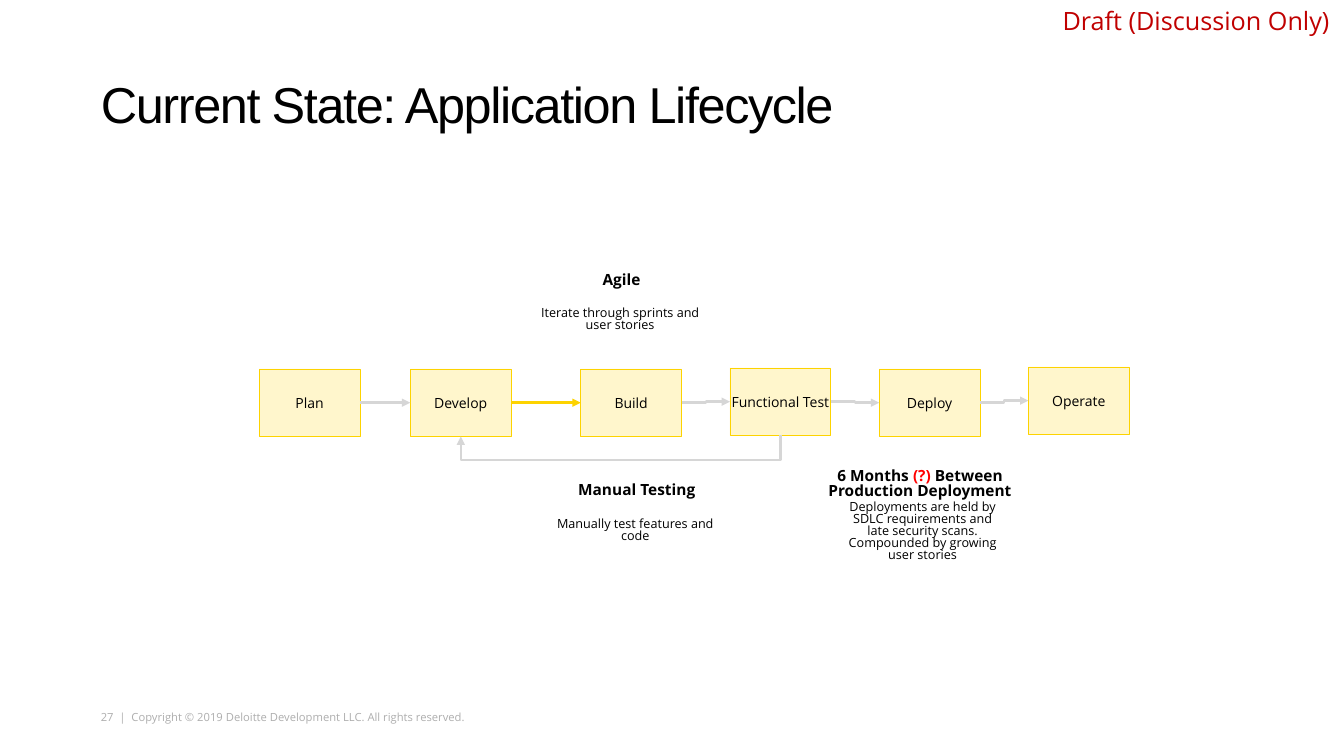
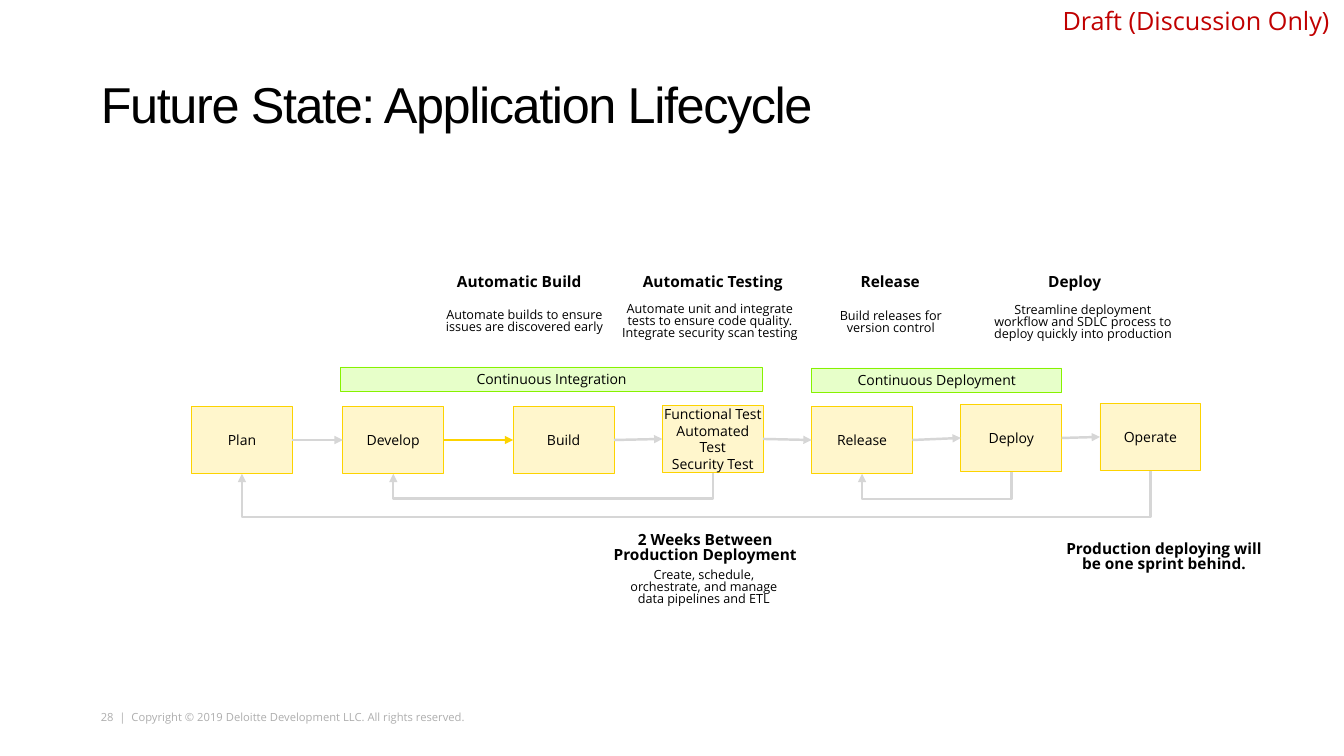
from dataclasses import dataclass

from lxml import etree
from pptx import Presentation
from pptx.dml.color import RGBColor
from pptx.enum.shapes import MSO_CONNECTOR, MSO_SHAPE
from pptx.enum.text import MSO_ANCHOR, MSO_AUTO_SIZE, PP_ALIGN
from pptx.oxml.ns import qn
from pptx.util import Inches, Pt

ELBOW, STRAIGHT = MSO_CONNECTOR.ELBOW, MSO_CONNECTOR.STRAIGHT
RECTANGLE = MSO_SHAPE.RECTANGLE
TOP, MIDDLE = MSO_ANCHOR.TOP, MSO_ANCHOR.MIDDLE
LEFT, CENTER = PP_ALIGN.LEFT, PP_ALIGN.CENTER
NO_AUTOFIT = MSO_AUTO_SIZE.NONE
TITLE_ONLY = 5
LEFT_SITE, BOTTOM_SITE, RIGHT_SITE = 1, 2, 3

COLORS = {
    "text": "000000",
    "footer": "AEAEAE",
    "draft": "C00000",
    "question": "FF0000",
    "stage": "FFF6CC",
    "stage_line": "FDD300",
    "phase": "E7FFC9",
    "phase_line": "86F200",
    "arrow": "D6D6D6",
}
BODY_FONT, TITLE_FONT = "Open Sans", "Arial"
STAGE_W, STAGE_H = 1, 0.67
QUESTION = "(?)"
COPYRIGHT = "Copyright © 2019 Deloitte Development LLC. All rights reserved."


@dataclass
class Box:
    text: str
    x: float
    y: float
    w: float = STAGE_W
    h: float = STAGE_H


@dataclass
class Loop:
    start: str
    end: str
    drop: float


@dataclass
class LifecycleSlide:
    number: int
    title: str
    step_kind: int
    stages: list[Box]
    loops: list[Loop]
    phases: list[Box]
    headings: list[Box]
    details: list[Box]


SLIDES = [
    LifecycleSlide(
        27, "Current State: Application Lifecycle", ELBOW,
        stages=[
            Box("Plan", 2.57, 3.66),
            Box("Develop", 4.07, 3.66),
            Box("Build", 5.76, 3.66),
            Box("Functional Test", 7.24, 3.65),
            Box("Deploy", 8.72, 3.66),
            Box("Operate", 10.2, 3.64),
        ],
        loops=[Loop("Functional Test", "Develop", 0.25)],
        phases=[],
        headings=[
            Box("Agile", 5.09, 2.7, 2.15, 0.17),
            Box("Manual Testing", 5.24, 4.79, 2.15, 0.17),
            Box("6 Months (?) Between Production Deployment", 8.05, 4.63, 2.15, 0.35),
        ],
        details=[
            Box("Iterate through sprints and user stories", 5.34, 2.87, 1.62, 0.61),
            Box("Manually test features and code", 5.49, 4.96, 1.62, 0.61),
            Box("Deployments are held by SDLC requirements and late security scans. "
                "Compounded by growing user stories", 8.34, 4.97, 1.62, 0.61),
        ],
    ),
    LifecycleSlide(
        28, "Future State: Application Lifecycle", STRAIGHT,
        stages=[
            Box("Plan", 1.9, 4.03),
            Box("Develop", 3.4, 4.03),
            Box("Build", 5.09, 4.03),
            Box("Functional Test\nAutomated Test\nSecurity Test", 6.57, 4.02),
            Box("Release", 8.05, 4.03),
            Box("Deploy", 9.53, 4.01),
            Box("Operate", 10.91, 4),
        ],
        loops=[
            Loop("Functional Test", "Develop", 0.26),
            Loop("Deploy", "Release", 0.27),
            Loop("Operate", "Plan", 0.46),
        ],
        phases=[
            Box("Continuous Integration", 3.38, 3.64, 4.18, 0.24),
            Box("Continuous Deployment", 8.05, 3.65, 2.48, 0.24),
        ],
        headings=[
            Box("Automatic Build", 4.34, 2.71, 1.62, 0.2),
            Box("Automatic Testing", 6.26, 2.71, 1.62, 0.2),
            Box("Release", 7.88, 2.67, 1.9, 0.28),
            Box("Deploy", 9.71, 2.67, 1.9, 0.28),
            Box("2 Weeks Between Production Deployment", 5.92, 5.36, 2.15, 0.17),
            Box("Production deploying will be one sprint behind.", 10.47, 5.44, 2.15, 0.19),
        ],
        details=[
            Box("Automate builds to ensure issues are discovered early", 4.24, 2.86, 1.92, 0.67),
            Box("Automate unit and integrate tests to ensure code quality. "
                "Integrate security scan testing", 6.08, 2.86, 1.92, 0.67),
            Box("Build releases for version control", 8.12, 2.91, 1.43, 0.58),
            Box("Streamline deployment workflow and SDLC process to deploy quickly "
                "into production", 9.78, 2.91, 1.92, 0.58),
            Box("Create, schedule, orchestrate, and manage data pipelines and ETL",
                6.17, 5.53, 1.62, 0.61),
        ],
    ),
]


def rgb(name: str) -> RGBColor:
    return RGBColor.from_string(COLORS[name])


def frame(box: Box) -> list:
    return [Inches(v) for v in (box.x, box.y, box.w, box.h)]


def set_margins(tf, left: float = 0, top: float = 0, right: float = 0, bottom: float = 0) -> None:
    tf.margin_left, tf.margin_top = Inches(left), Inches(top)
    tf.margin_right, tf.margin_bottom = Inches(right), Inches(bottom)


def format_text(tf, size: float, color: str = "text", font: str = BODY_FONT,
                align=CENTER, spacing: float = 1, bold: bool = False) -> None:
    for p in tf.paragraphs:
        p.alignment = align
        p.line_spacing = spacing
        for r in p.runs:
            r.font.name, r.font.size, r.font.bold = font, Pt(size), bold
            r.font.color.rgb = rgb(color)


def add_text(slide, box: Box, wrap: bool = True):
    tf = slide.shapes.add_textbox(*frame(box)).text_frame
    tf.word_wrap = wrap
    tf.text = box.text
    return tf


def add_note(slide, box: Box, size: float, bold: bool = False) -> None:
    tf = add_text(slide, box)
    tf.vertical_anchor = MIDDLE
    set_margins(tf)
    before, mark, after = box.text.partition(QUESTION)
    p = tf.paragraphs[0]
    p.text = before
    for part in filter(None, (mark, after)):
        p.add_run().text = part
    format_text(tf, size, spacing=0.8, bold=bold)
    if mark:
        p.runs[1].font.color.rgb = rgb("question")


def add_box(slide, box: Box, fill: str):
    sp = slide.shapes.add_shape(RECTANGLE, *frame(box))
    sp.shadow.inherit = False
    sp.fill.solid()
    sp.fill.fore_color.rgb = rgb(fill)
    sp.line.color.rgb = rgb(f"{fill}_line")
    sp.line.width = Pt(0.5)
    tf = sp.text_frame
    tf.word_wrap = True
    tf.vertical_anchor = MIDDLE
    set_margins(tf)
    tf.text = box.text
    format_text(tf, 10)
    return sp


def add_arrow(slide, kind, start, start_site: int, end, end_site: int, color: str = "arrow"):
    cxn = slide.shapes.add_connector(kind, 0, 0, 0, 0)
    cxn.begin_connect(start, start_site)
    cxn.end_connect(end, end_site)
    cxn.line.color.rgb = rgb(color)
    cxn.line.width = Pt(1.75)
    etree.SubElement(cxn.line._get_or_add_ln(), qn("a:tailEnd"), type="triangle")
    etree.SubElement(cxn._element.spPr, qn("a:effectLst"))
    return cxn


def add_loop(slide, start, end, drop: float) -> None:
    cxn = add_arrow(slide, ELBOW, start, BOTTOM_SITE, end, BOTTOM_SITE)
    x1, y1, x2, y2 = cxn.begin_x, cxn.begin_y, cxn.end_x, cxn.end_y
    width, height = y2 - y1, x1 - x2
    props = cxn._element.spPr
    xfrm = props.find(qn("a:xfrm"))
    xfrm.attrib.clear()
    xfrm.set("rot", "5400000")
    cxn.left, cxn.top = (x1 + x2 - width) // 2, (y1 + y2 - height) // 2
    cxn.width, cxn.height = width, height
    guides = props.find(qn("a:prstGeom")).get_or_add_avLst()
    bend = round(Inches(drop) / width * 100000)
    etree.SubElement(guides, qn("a:gd"), name="adj1", fmla=f"val {bend}")


def add_frame(slide, number: int, title: str) -> None:
    tf = add_text(slide, Box(f"{number}  |  {COPYRIGHT}", 1, 7.05, 3.66, 0.13), wrap=False)
    set_margins(tf)
    format_text(tf, 8, "footer", align=LEFT)
    tf = add_text(slide, Box("Draft (Discussion Only)", 10.44, 0, 2.9, 0.4))
    format_text(tf, 18, "draft", align=LEFT)

    sp = slide.shapes.title
    sp.left, sp.top, sp.width, sp.height = frame(Box(title, 1, 0.79, 11.33, 0.96))
    tf = sp.text_frame
    tf.text = title
    tf.auto_size = NO_AUTOFIT
    tf.vertical_anchor = TOP
    set_margins(tf, top=0.05, right=0.1)
    format_text(tf, 36, font=TITLE_FONT, align=LEFT, spacing=0.8)
    for r in tf.paragraphs[0].runs:
        r.font._element.set("spc", "-100")


def add_lifecycle(prs, content: LifecycleSlide) -> None:
    slide = prs.slides.add_slide(prs.slide_layouts[TITLE_ONLY])
    add_frame(slide, content.number, content.title)
    stages = {s.text.split("\n")[0]: add_box(slide, s, "stage") for s in content.stages}
    names = list(stages)
    for start, end in zip(names, names[1:]):
        color = "stage_line" if start == "Develop" else "arrow"
        add_arrow(slide, content.step_kind, stages[start], RIGHT_SITE,
                  stages[end], LEFT_SITE, color)
    for loop in content.loops:
        add_loop(slide, stages[loop.start], stages[loop.end], loop.drop)
    for phase in content.phases:
        add_box(slide, phase, "phase")
    for heading in content.headings:
        add_note(slide, heading, 11, bold=True)
    for detail in content.details:
        add_note(slide, detail, 9)


def main() -> None:
    prs = Presentation()
    prs.slide_width, prs.slide_height = Inches(13.33), Inches(7.5)
    for content in SLIDES:
        add_lifecycle(prs, content)
    prs.save("out.pptx")


if __name__ == "__main__":
    main()
